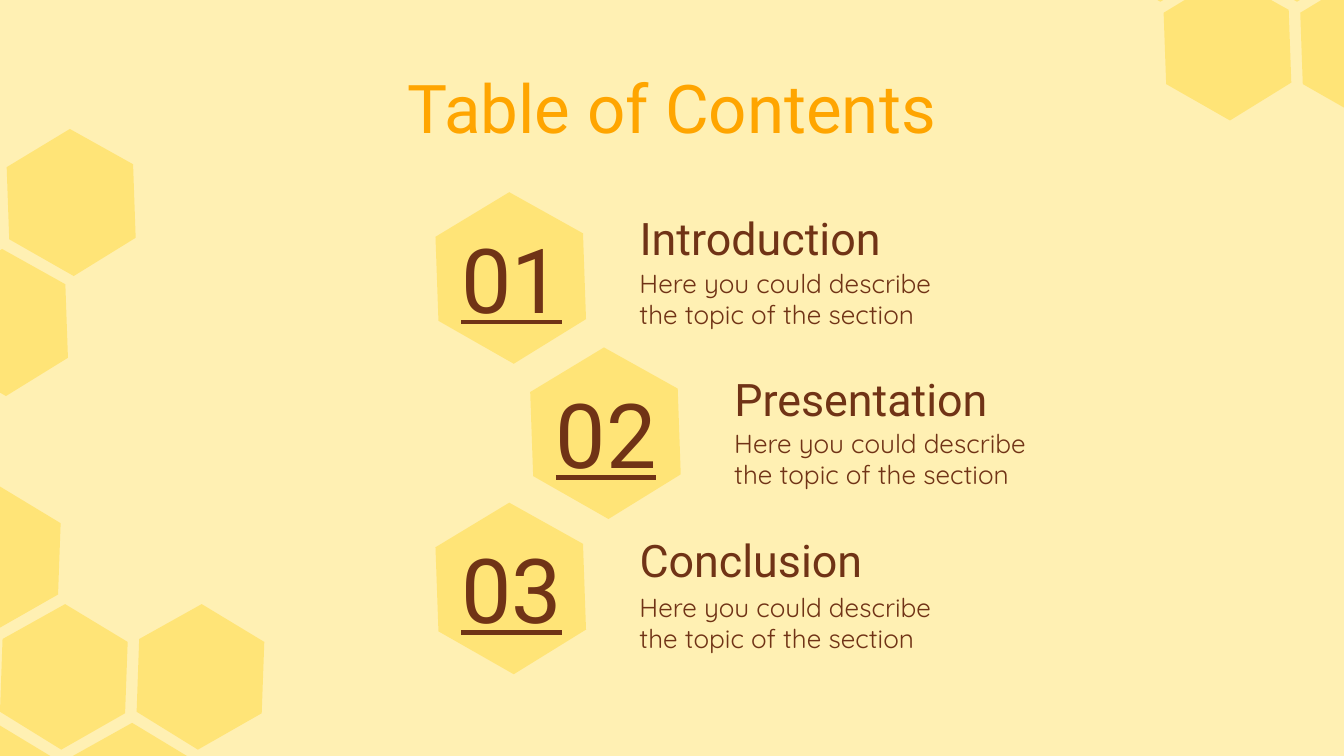
"""Build a honeycomb table of contents slide."""
from lxml.etree import SubElement
from pptx import Presentation
from pptx.dml.color import RGBColor
from pptx.enum.text import MSO_ANCHOR, PP_ALIGN
from pptx.oxml.ns import qn
from pptx.util import Inches, Pt

COLORS = {"background": "FFF0B3", "honey": "FFDB45", "title": "FFA500", "text": "703316"}
HEXAGON = [(0.49, 0), (0, 0.26), (0.02, 0.75), (0.52, 1), (1, 0.74), (0.98, 0.24)]

deck = Presentation()
deck.slide_width = Inches(10)
deck.slide_height = deck.slide_width * 9 // 16
page = deck.slides.add_slide(deck.slide_layouts[6])
page.background.fill.solid()
page.background.fill.fore_color.rgb = RGBColor.from_string(COLORS["background"])
cell = deck.slide_width // 100


def add_hexagon(left, top, width, mirrored=False):
    height = width * 1.14
    points = [
        (round((left + width * (1 - x if mirrored else x)) * cell), round((top + height * y) * cell))
        for x, y in HEXAGON
    ]
    builder = page.shapes.build_freeform(*points[0])
    builder.add_line_segments(points[1:], close=True)
    hexagon = builder.convert_to_shape()
    hexagon.shadow.inherit = False
    hexagon.line.fill.background()
    hexagon.fill.solid()
    hexagon.fill.fore_color.rgb = RGBColor.from_string(COLORS["honey"])
    color = hexagon._element.spPr.find(qn("a:solidFill")).find(qn("a:srgbClr"))
    SubElement(color, qn("a:alpha"), val="54000")


def add_text(text, left, top, width, height, size, font="Roboto", color="text",
             align=PP_ALIGN.LEFT, anchor=MSO_ANCHOR.TOP, underline=False):
    box = page.shapes.add_textbox(*(round(length * cell) for length in (left, top, width, height)))
    frame = box.text_frame
    frame.word_wrap = True
    frame.vertical_anchor = anchor
    frame.margin_left = frame.margin_right = frame.margin_top = frame.margin_bottom = cell
    para = frame.paragraphs[0]
    para.alignment = align
    span = para.add_run()
    span.text = text
    span.font.name = font
    span.font.size = Pt(size)
    span.font.underline = underline
    span.font.color.rgb = RGBColor.from_string(COLORS[color])


clusters = [
    (0, 44.95, 9.5, True, [(-0.5, -1), (1, 0), (0.5, 1), (0, 0), (-0.5, 1)]),
    (81.4, -10.7, 9.5, False, [(0, 0), (0.5, 1), (1, 0), (1.5, 1)]),
    (0.5, 9.6, 9.6, False, [(0, 0), (-0.5, 1)]),
]
for left, top, width, mirrored, places in clusters:
    slant = -0.01 if mirrored else 0.01
    for column, row in places:
        add_hexagon(left + width * (1.07 * column + slant * row), top + width * 0.93 * row,
                    width, mirrored)

add_text("Table of Contents", 5.1, 3.9, 89.8, 7.3, 36, color="title", align=PP_ALIGN.CENTER)

sections = [("Introduction", 18.9), ("Presentation", 30.8), ("Conclusion", 43)]
for index, (heading, body_top) in enumerate(sections):
    shift = 7.05 * (index % 2)
    hexagon_top = 14.3 + 11.55 * index
    add_hexagon(32.4 + shift, hexagon_top, 11.2)
    add_text(f"{index + 1:02}", 30.8 + shift, hexagon_top + 3.2, 14.5, 6.3, 48,
             align=PP_ALIGN.CENTER, anchor=MSO_ANCHOR.MIDDLE, underline=True)
    add_text(heading, 46.6 + shift, 12.5 + 11.95 * index, 28.8, 8.2, 24, anchor=MSO_ANCHOR.BOTTOM)
    add_text("Here you could describe the topic of the section",
             46.6 + shift, body_top, 26.4, 8.2, 14, font="Quicksand")

deck.save("out.pptx")
